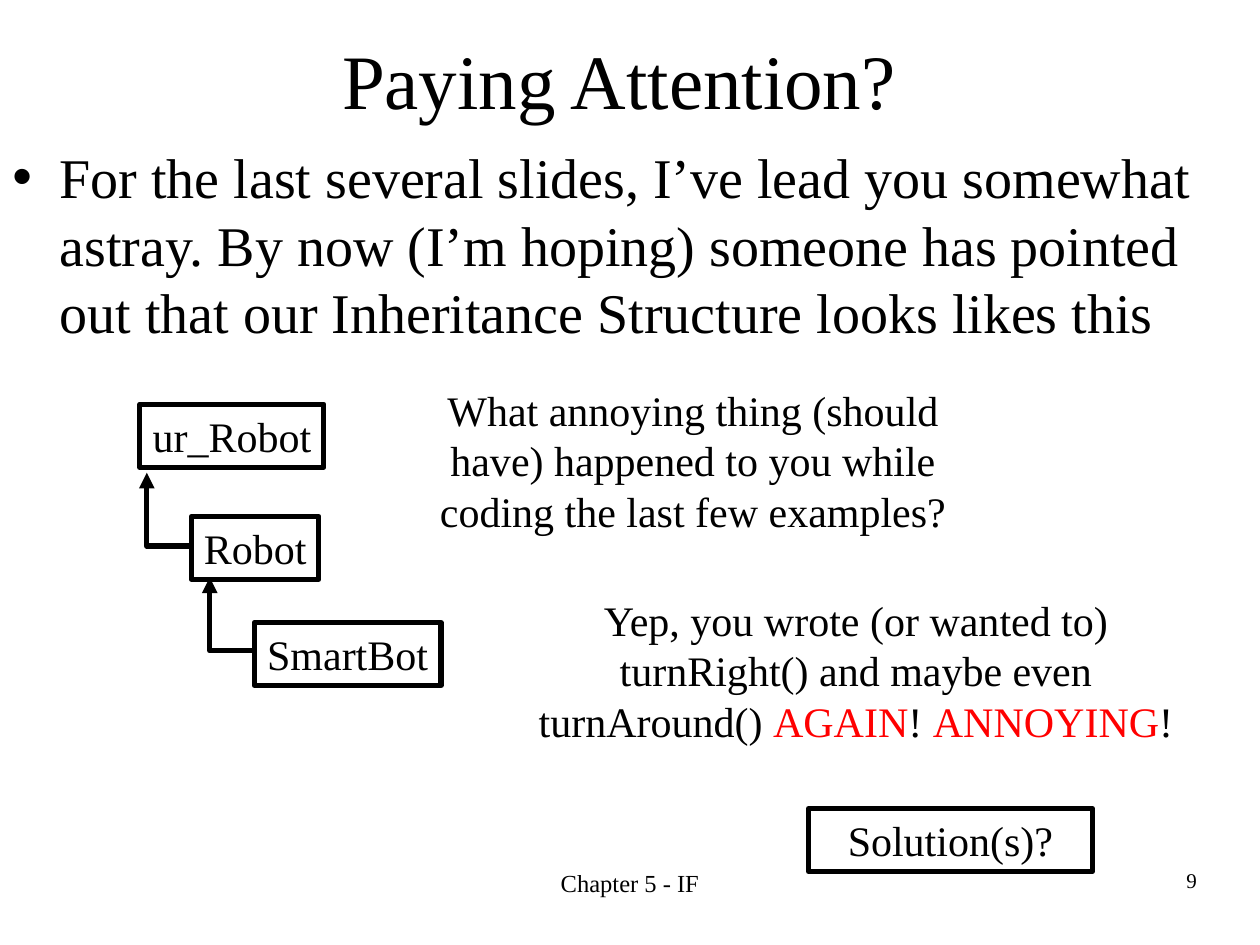
from dataclasses import dataclass

from lxml import etree
from pptx import Presentation
from pptx.dml.color import RGBColor
from pptx.enum.shapes import MSO_SHAPE
from pptx.enum.text import MSO_ANCHOR, MSO_AUTO_SIZE, PP_ALIGN
from pptx.oxml.ns import qn
from pptx.util import Cm, Pt

BLACK = RGBColor(0x00, 0x00, 0x00)
RED = RGBColor(0xFF, 0x00, 0x00)
RECTANGLE = MSO_SHAPE.RECTANGLE
TOP, MIDDLE = MSO_ANCHOR.TOP, MSO_ANCHOR.MIDDLE
LEFT, CENTER = PP_ALIGN.LEFT, PP_ALIGN.CENTER
NO_AUTOFIT = MSO_AUTO_SIZE.NONE

FONT = "Times New Roman"
LINE_WIDTH = Pt(3)
BOX_HEIGHT = 1.27
ARROW_WIDTH, ARROW_HEIGHT = 0.85, 1.48


@dataclass
class Block:
    """Text runs in a rectangle measured in centimetres."""
    runs: list[tuple[str, RGBColor]]
    left: float
    top: float
    width: float
    height: float
    size: float = 24
    wrap: bool = True
    anchor: MSO_ANCHOR = TOP
    align: PP_ALIGN = CENTER


TITLE = Block([("Paying Attention?", BLACK)], 1.69, 0, 21.59, 3.18, 44, anchor=MIDDLE)
BODY = Block(
    [("For the last several slides, I’ve lead you somewhat astray. By now (I’m hoping) "
      "someone has pointed out that our Inheritance Structure looks likes this", BLACK)],
    0, 2.75, 25.4, 4.66, 32, align=LEFT)

CLASS_BOXES = [
    Block([(name, BLACK)], left, top, width, BOX_HEIGHT, wrap=False, anchor=MIDDLE)
    for name, left, top, width in (
        ("ur_Robot", 2.82, 8.15, 3.71),
        ("Robot", 3.86, 10.41, 2.57),
        ("SmartBot", 5.13, 12.55, 3.76),
    )
]
ARROW_TIPS = [(2.96, 9.53), (4.23, 11.64)]
SOLUTION_BOX = Block([("Solution(s)?", BLACK)], 16.3, 16.3, 5.72, BOX_HEIGHT)

TEXTS = [
    Block([("What annoying thing (should have) happened to you while coding the last "
            "few examples?", BLACK)], 8.47, 7.62, 11, 3.3),
    Block([("Yep, you wrote (or wanted to) turnRight() and maybe even turnAround() ", BLACK),
           ("AGAIN", RED), ("! ", BLACK), ("ANNOYING", RED), ("!", BLACK)],
          9.95, 11.85, 14.61, 3.3),
    Block([("Chapter 5 - IF", BLACK)], 8.68, 17.36, 8.04, 1.27, 14),
    Block([("9", BLACK)], 22.86, 17.36, 2.33, 0.77, 12),
]


def set_attributes(target, values: dict) -> None:
    for name, value in values.items():
        setattr(target, name, value)


def bounds(block: Block) -> tuple:
    return Cm(block.left), Cm(block.top), Cm(block.width), Cm(block.height)


def write_text(shape, block: Block) -> None:
    frame = shape.text_frame
    set_attributes(frame, {
        "auto_size": NO_AUTOFIT, "word_wrap": block.wrap, "vertical_anchor": block.anchor,
        "margin_left": Cm(0.25), "margin_right": Cm(0.25),
        "margin_top": Cm(0.13), "margin_bottom": Cm(0.13),
    })
    paragraph = frame.paragraphs[0]
    set_attributes(paragraph, {"alignment": block.align, "space_before": Pt(0)})
    for text, color in block.runs:
        run = paragraph.add_run()
        run.text = text
        set_attributes(run.font, {"name": FONT, "size": Pt(block.size)})
        run.font.color.rgb = color


def fill_placeholder(shape, block: Block) -> None:
    left, top, width, height = bounds(block)
    set_attributes(shape, {"left": left, "top": top, "width": width, "height": height})
    write_text(shape, block)


def outline(shape) -> None:
    """Leave only a thick black line around or along the shape."""
    shape.shadow.inherit = False
    shape.fill.background()
    shape.line.color.rgb = BLACK
    shape.line.width = LINE_WIDTH


def add_box(slide, block: Block) -> None:
    shape = slide.shapes.add_shape(RECTANGLE, *bounds(block))
    outline(shape)
    write_text(shape, block)


def add_inheritance_arrow(slide, left: float, top: float) -> None:
    """Draw an elbow from the subclass up to an arrowhead at its parent."""
    bottom, right = top + ARROW_HEIGHT, left + ARROW_WIDTH
    builder = slide.shapes.build_freeform(Cm(left), Cm(top))
    builder.add_line_segments(
        [(Cm(left), Cm(bottom)), (Cm(right), Cm(bottom))], close=False)
    arrow = builder.convert_to_shape()
    outline(arrow)
    line = arrow.line._get_or_add_ln()
    etree.SubElement(line, qn("a:round"))
    etree.SubElement(line, qn("a:headEnd"), type="triangle")


def main() -> None:
    presentation = Presentation()
    set_attributes(presentation, {"slide_width": Cm(25.4), "slide_height": Cm(19.05)})
    slide = presentation.slides.add_slide(presentation.slide_layouts[1])
    fill_placeholder(slide.shapes.title, TITLE)
    fill_placeholder(slide.placeholders[1], BODY)
    for block in CLASS_BOXES:
        add_box(slide, block)
    for left, top in ARROW_TIPS:
        add_inheritance_arrow(slide, left, top)
    for block in TEXTS:
        write_text(slide.shapes.add_textbox(*bounds(block)), block)
    add_box(slide, SOLUTION_BOX)
    presentation.save("out.pptx")


if __name__ == "__main__":
    main()
